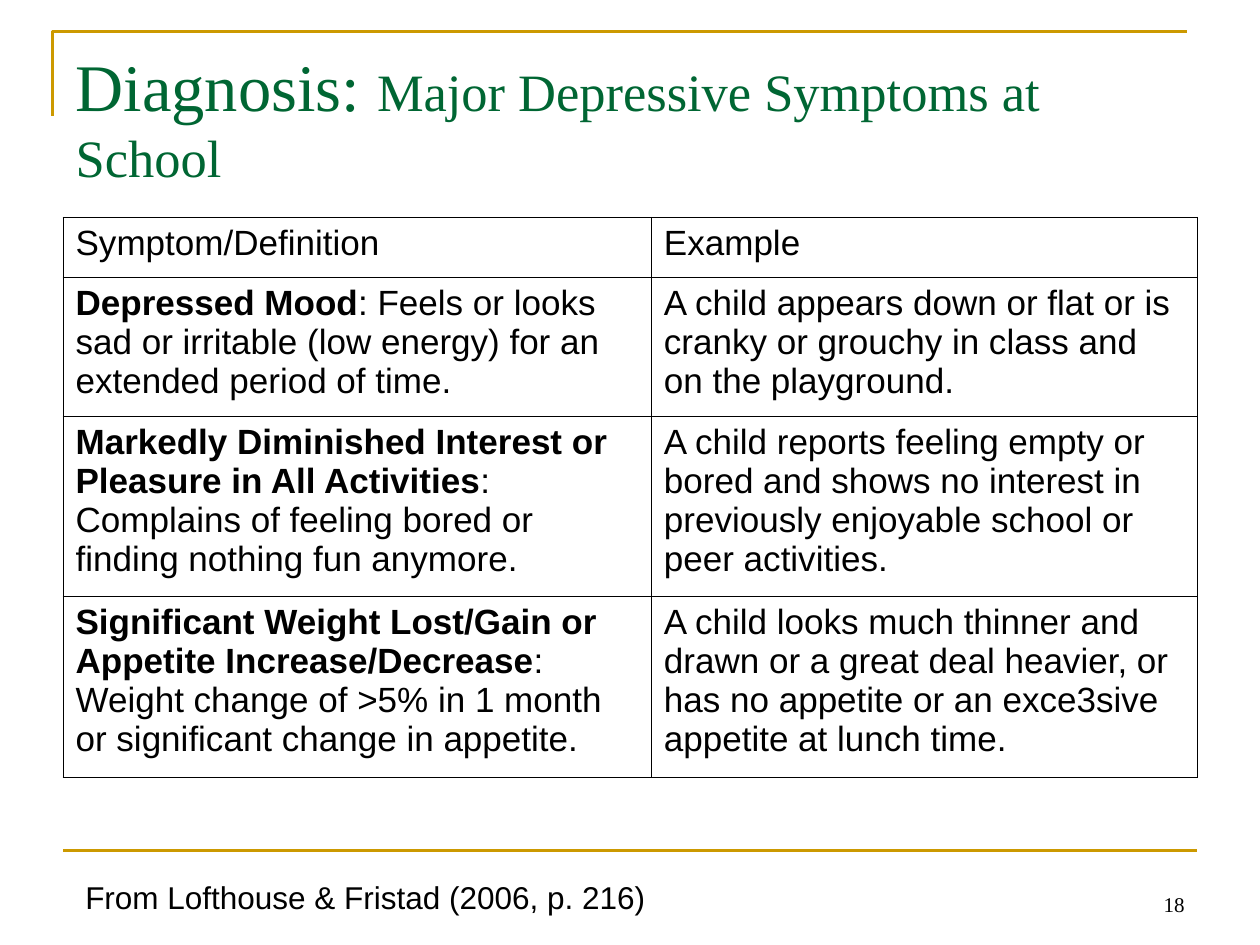
from lxml import etree
from pptx import Presentation
from pptx.dml.color import RGBColor
from pptx.enum.shapes import MSO_CONNECTOR
from pptx.enum.text import MSO_ANCHOR, MSO_AUTO_SIZE, PP_ALIGN
from pptx.oxml.ns import qn
from pptx.util import Cm, Pt

LINE = MSO_CONNECTOR.STRAIGHT
TOP, LOW = MSO_ANCHOR.TOP, MSO_ANCHOR.BOTTOM
LEFT, RIGHT = PP_ALIGN.LEFT, PP_ALIGN.RIGHT
FIXED = MSO_AUTO_SIZE.NONE

GOLD = RGBColor(0xCC, 0x99, 0x00)
GREEN = RGBColor(0x00, 0x66, 0x33)
BLACK = RGBColor(0, 0, 0)
SERIF, SANS = "Times New Roman", "Arial"

# Content: a cell is a bold part and a plain part
TITLE = [("Diagnosis: ", 38), ("Major Depressive Symptoms at School", 30)]
ROWS = [
    (("", "Symptom/Definition"), ("", "Example")),
    (("Depressed Mood",
      ": Feels or looks sad or irritable (low energy) for an extended "
      "period of time."),
     ("", "A child appears down or flat or is cranky or grouchy in class "
          "and on the playground.")),
    (("Markedly Diminished Interest or Pleasure in All Activities",
      ": Complains of feeling bored or finding nothing fun anymore."),
     ("", "A child reports feeling empty or bored and shows no interest in "
          "previously enjoyable school or peer activities.")),
    (("Significant Weight Lost/Gain or Appetite Increase/Decrease",
      ": Weight change of >5% in 1 month or significant change in "
      "appetite."),
     ("", "A child looks much thinner and drawn or a great deal heavier, or "
          "has no appetite or an exce3sive appetite at lunch time.")),
]
SOURCE = "From Lofthouse & Fristad (2006, p. 216)"
NUMBER = "18"

# Measures in centimetres
EDGE, SPAN = 1.27, 22.86
COLS = [11.86, 11.0]
HEIGHTS = [1.21, 2.8, 3.64, 3.64]


def add_run(para, text, size, font, color, bold=False):
    run = para.add_run()
    run.text = text
    run.font.size, run.font.name, run.font.bold = Pt(size), font, bold
    run.font.color.rgb = color


def add_text(slide, box, text, size, font, align, anchor):
    frame = slide.shapes.add_textbox(*map(Cm, box)).text_frame
    frame.word_wrap, frame.vertical_anchor = True, anchor
    para = frame.paragraphs[0]
    para.alignment = align
    add_run(para, text, size, font, BLACK)


def add_border(cell):
    props = cell._tc.get_or_add_tcPr()
    for i, side in enumerate(("a:lnL", "a:lnR", "a:lnT", "a:lnB")):
        edge = etree.Element(qn(side), w=str(Pt(0.45)))
        fill = etree.SubElement(edge, qn("a:solidFill"))
        etree.SubElement(fill, qn("a:srgbClr"), val=str(BLACK))
        props.insert(i, edge)


def add_rules(slide):
    # Corner line at the top left
    left, top = Cm(1.06), Cm(0.64)
    build = slide.shapes.build_freeform(left, Cm(2.33))
    build.add_line_segments([(left, top), (Cm(23.92), top)], close=False)
    corner = build.convert_to_shape()
    corner.fill.background()
    corner.shadow.inherit = False

    # Line above the foot
    foot = slide.shapes.add_connector(
        LINE, Cm(EDGE), Cm(17.15), Cm(EDGE + SPAN), Cm(17.15))
    etree.SubElement(foot._element.spPr, qn("a:effectLst"))
    for shape in (corner, foot):
        shape.line.color.rgb = GOLD
        shape.line.width = Pt(1.5)


def add_title(slide):
    title = slide.shapes.title
    title.left, title.top = Cm(EDGE), Cm(0.74)
    title.width, title.height = Cm(SPAN), Cm(3.18)
    frame = title.text_frame
    frame.auto_size, frame.word_wrap = FIXED, True
    frame.vertical_anchor = LOW
    para = frame.paragraphs[0]
    para.alignment = LEFT
    for text, size in TITLE:
        add_run(para, text, size, SERIF, GREEN)


def add_grid(slide):
    table = slide.shapes.add_table(
        len(ROWS), len(COLS), Cm(EDGE), Cm(4.38),
        Cm(SPAN), Cm(sum(HEIGHTS))).table
    table.first_row = table.horz_banding = False
    for col, width in zip(table.columns, COLS):
        col.width = Cm(width)
    for row, height, texts in zip(table.rows, HEIGHTS, ROWS):
        row.height = Cm(height)
        for cell, (term, plain) in zip(row.cells, texts):
            cell.fill.background()
            add_border(cell)
            para = cell.text_frame.paragraphs[0]
            para.space_before = Pt(5)
            if term:
                add_run(para, term, 20, SANS, BLACK, True)
            add_run(para, plain, 20, SANS, BLACK)


def main():
    deck = Presentation()
    deck.slide_width, deck.slide_height = Cm(25.4), Cm(19.05)
    slide = deck.slides.add_slide(deck.slide_layouts[5])
    add_rules(slide)
    add_title(slide)
    add_grid(slide)

    # Slide number and source
    add_text(slide, (18.21, 17.34, 5.92, 1.27), NUMBER, 12, SERIF, RIGHT, LOW)
    add_text(slide, (1.47, 17.58, 12.2, 1.02), SOURCE, 18, SANS, LEFT, TOP)

    deck.save("out.pptx")


if __name__ == "__main__":
    main()
